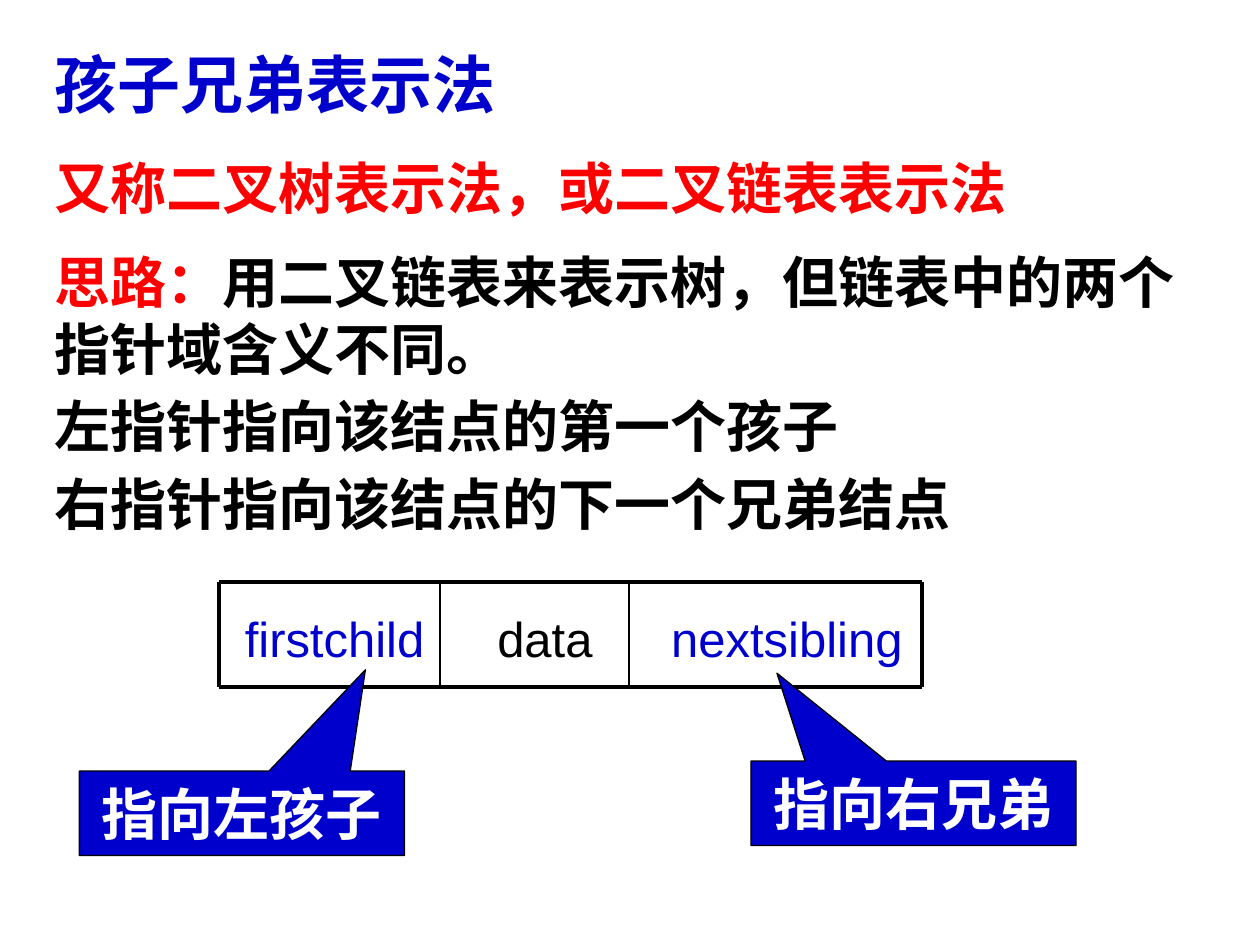
from dataclasses import dataclass

import pptx
import pptx.dml.color
import pptx.enum.shapes
import pptx.enum.text
import pptx.oxml.ns
import pptx.util
from lxml import etree

Inches = pptx.util.Inches
Align = pptx.enum.text.PP_ALIGN
Anchor = pptx.enum.text.MSO_ANCHOR


@dataclass(frozen=True)
class Theme:
    blue: str = "0000CC"
    red: str = "FF0000"
    black: str = "000000"
    white: str = "FFFFFF"
    chinese: str = "Noto Sans CJK SC"
    latin: str = "Arial"
    title_size: int = 36
    body_size: int = 32
    field_size: int = 28


@dataclass(frozen=True)
class Field:
    name: str
    left: float
    right: float
    color: str
    text_left: float
    text_width: float


@dataclass(frozen=True)
class Callout:
    text: str
    left: float
    top: float
    tip: tuple[float, float]


THEME = Theme()
NODE_TOP, NODE_BOTTOM = 4.62, 5.45

BODY = [
    (0, [("又称二叉树表示法，或二叉链表表示法", THEME.red)]),
    (16, [("思路：", THEME.red),
          ("用二叉链表来表示树，但链表中的两个指针域含义不同。", THEME.black)]),
    (6.4, [("左指针指向该结点的第一个孩子", THEME.black)]),
    (6.4, [("右指针指向该结点的下一个兄弟结点", THEME.black)]),
]
FIELDS = [
    Field("firstchild", 1.74, 3.49, THEME.blue, 1.82, 1.67),
    Field("data", 3.49, 4.99, THEME.black, 3.66, 1.33),
    Field("nextsibling", 4.99, 7.32, THEME.blue, 5.16, 2.17),
]
CALLOUTS = [
    Callout("指向左孩子", 0.63, 6.12, (0.38, -1.7)),
    Callout("指向右兄弟", 5.96, 6.04, (-0.42, -1.54)),
]


def rgb(color: str) -> pptx.dml.color.RGBColor:
    return pptx.dml.color.RGBColor.from_string(color)


def write(para, text: str, *, color: str, size: float = THEME.body_size,
          font: str = THEME.chinese, bold: bool = True, align=Align.LEFT) -> None:
    para.alignment = align
    span = para.add_run()
    span.text = text
    span.font.size = pptx.util.Pt(size)
    span.font.bold = bold
    span.font.color.rgb = rgb(color)
    span.font.name = font
    east_asian = etree.SubElement(span.font._element, pptx.oxml.ns.qn("a:ea"))
    east_asian.set("typeface", font)


def place(box, left: float, top: float, width: float, height: float) -> None:
    box.left, box.top = Inches(left), Inches(top)
    box.width, box.height = Inches(width), Inches(height)


def fill_title(title) -> None:
    place(title, 0.33, 0.33, 5.33, 0.67)
    title.text_frame.auto_size = pptx.enum.text.MSO_AUTO_SIZE.NONE
    title.text_frame.vertical_anchor = Anchor.MIDDLE
    write(title.text_frame.paragraphs[0], "孩子兄弟表示法",
          color=THEME.blue, size=THEME.title_size)


def fill_body(body) -> None:
    place(body, 0.33, 1.17, 9.17, 3.22)
    frame = body.text_frame
    frame.auto_size = pptx.enum.text.MSO_AUTO_SIZE.NONE
    for index, (space, spans) in enumerate(BODY):
        para = frame.add_paragraph() if index else frame.paragraphs[0]
        para.line_spacing = pptx.util.Pt(38)
        para.space_before = pptx.util.Pt(space)
        properties = para._p.get_or_add_pPr()
        properties.set("marL", "0")
        properties.set("indent", "0")
        etree.SubElement(properties, pptx.oxml.ns.qn("a:buNone"))
        for text, color in spans:
            write(para, text, color=color)


def draw_line(shapes, start: tuple[float, float], end: tuple[float, float],
              width: float) -> None:
    line = shapes.add_connector(pptx.enum.shapes.MSO_CONNECTOR.STRAIGHT,
                                *map(Inches, start + end))
    line.line.color.rgb = rgb(THEME.black)
    line.line.width = pptx.util.Pt(width)
    etree.SubElement(line._element.spPr, pptx.oxml.ns.qn("a:effectLst"))


def draw_field(shapes, field: Field) -> None:
    box = shapes.add_textbox(Inches(field.text_left), Inches(4.78),
                             Inches(field.text_width), Inches(0.58))
    box.text_frame.word_wrap = True
    write(box.text_frame.paragraphs[0], field.name, color=field.color,
          size=THEME.field_size, font=THEME.latin, bold=False, align=Align.CENTER)


def draw_node(page) -> None:
    shapes = page.shapes.add_group_shape().shapes
    for field in FIELDS:
        draw_field(shapes, field)
    left, right = FIELDS[0].left, FIELDS[-1].right
    for y in (NODE_TOP, NODE_BOTTOM):
        draw_line(shapes, (left, y), (right, y), 2.25)
    for x in [left] + [field.right for field in FIELDS]:
        draw_line(shapes, (x, NODE_TOP), (x, NODE_BOTTOM),
                  2.25 if x in (left, right) else 1)


def draw_callout(page, callout: Callout) -> None:
    box = page.shapes.add_shape(
        pptx.enum.shapes.MSO_SHAPE.RECTANGULAR_CALLOUT,
        Inches(callout.left), Inches(callout.top), Inches(2.58), Inches(0.67))
    box.adjustments[0], box.adjustments[1] = callout.tip
    box.shadow.inherit = False
    box.fill.solid()
    box.fill.fore_color.rgb = rgb(THEME.blue)
    box.line.color.rgb = rgb(THEME.black)
    box.line.width = pptx.util.Pt(0.75)
    box.text_frame.vertical_anchor = Anchor.MIDDLE
    write(box.text_frame.paragraphs[0], callout.text,
          color=THEME.white, align=Align.CENTER)


def main() -> None:
    deck = pptx.Presentation()
    deck.slide_width, deck.slide_height = Inches(10), Inches(7.5)
    page = deck.slides.add_slide(deck.slide_layouts[1])
    fill_title(page.shapes.title)
    fill_body(page.placeholders[1])
    draw_node(page)
    for callout in CALLOUTS:
        draw_callout(page, callout)
    deck.save("out.pptx")


if __name__ == "__main__":
    main()
